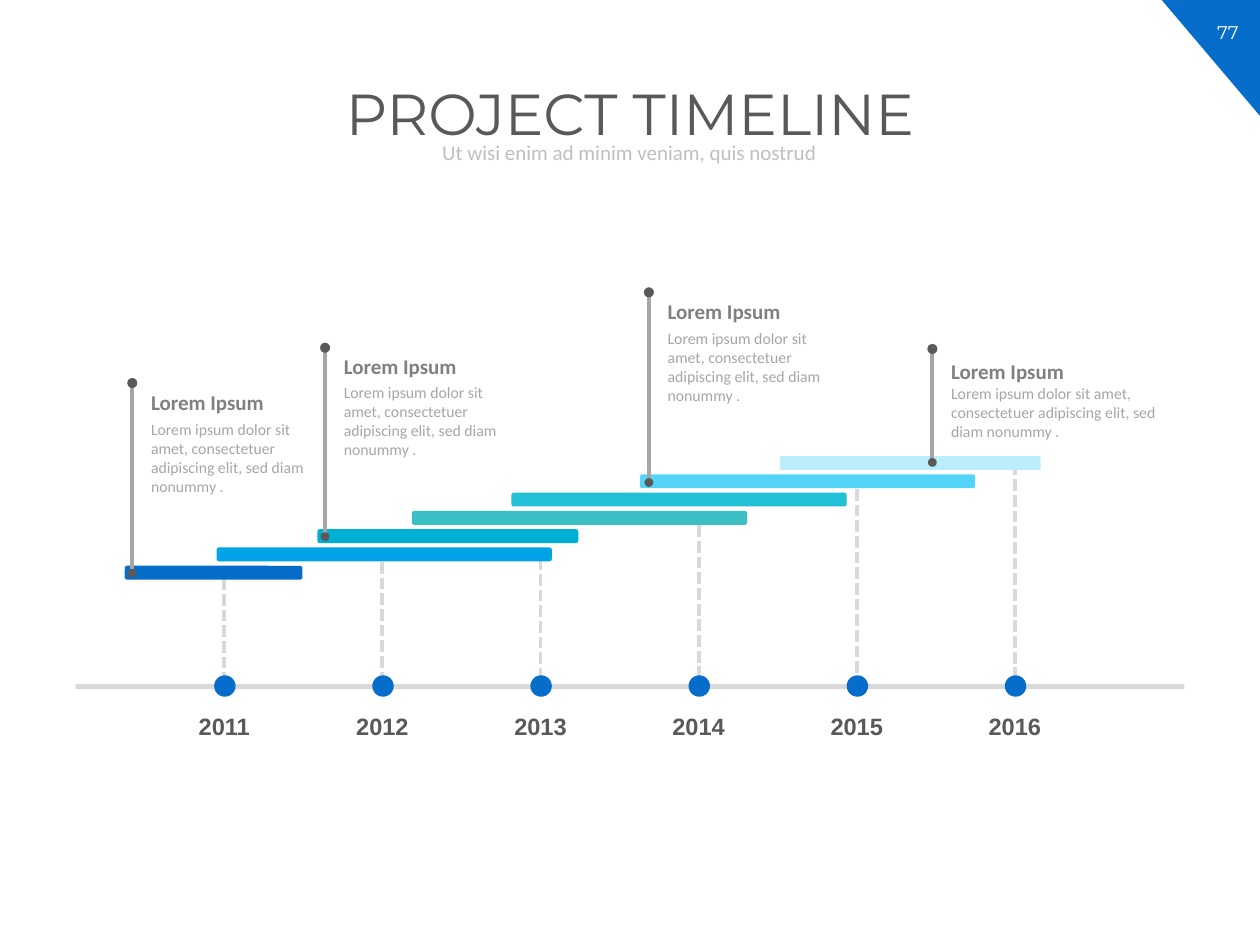
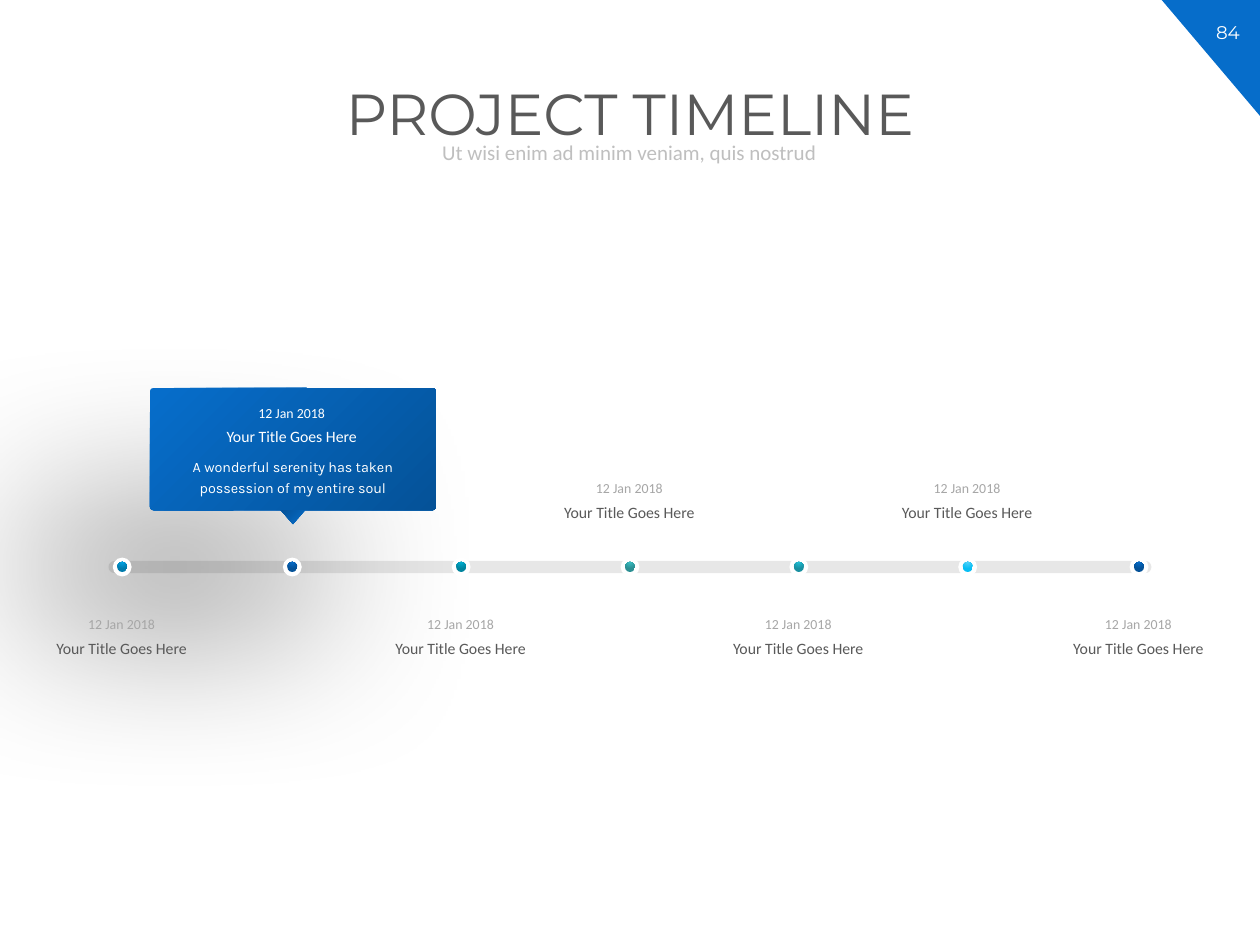
from pptx import Presentation
from pptx.dml.color import RGBColor
from pptx.enum.dml import MSO_LINE
from pptx.enum.shapes import MSO_CONNECTOR, MSO_SHAPE as Shape
from pptx.enum.text import MSO_ANCHOR, MSO_AUTO_SIZE, PP_ALIGN
from pptx.oxml import parse_xml
from pptx.oxml.ns import nsdecls, qn
from pptx.util import Inches, Pt

# Colours
WHITE = RGBColor(0xFF, 0xFF, 0xFF)
BLACK = RGBColor(0x00, 0x00, 0x00)
DARK = RGBColor(0x59, 0x59, 0x59)
GREY = RGBColor(0x80, 0x80, 0x80)
MID_GREY = RGBColor(0xA6, 0xA6, 0xA6)
SOFT_GREY = RGBColor(0xBF, 0xBF, 0xBF)
PALE_GREY = RGBColor(0xD9, 0xD9, 0xD9)
BLUE = RGBColor(0x06, 0x6D, 0xCA)
DEEP_BLUE = RGBColor(0x05, 0x52, 0x98)
SKY = RGBColor(0x00, 0xA4, 0xE6)
DEEP_SKY = RGBColor(0x00, 0x7B, 0xAC)
CYAN = RGBColor(0x00, 0xB0, 0xD3)
DEEP_CYAN = RGBColor(0x00, 0x84, 0x9E)
TEAL = RGBColor(0x3A, 0xBF, 0xC4)
DEEP_TEAL = RGBColor(0x2C, 0x8F, 0x93)
AQUA = RGBColor(0x21, 0xC0, 0xD7)
DEEP_AQUA = RGBColor(0x19, 0x90, 0xA1)
LIGHT_BLUE = RGBColor(0x55, 0xD4, 0xFA)
BRIGHT_BLUE = RGBColor(0x07, 0xBE, 0xF4)
ICE = RGBColor(0xBB, 0xEE, 0xFD)

# Text styles: font values, then paragraph values
CENTRED = {"alignment": PP_ALIGN.CENTER}
LEFT = {"alignment": PP_ALIGN.LEFT}
STYLES = {
    "title": ({"name": "Montserrat", "size": Pt(33)}, {**CENTRED, "line_spacing": 0.9}),
    "subtitle": ({"name": "Calibri", "size": Pt(12)},
                 {**CENTRED, "line_spacing": 0.9, "space_before": Pt(9)}),
    "number": ({"name": "Montserrat", "size": Pt(10.5)}, CENTRED),
    "year": ({"name": "Arial", "size": Pt(13.5), "bold": True}, CENTRED),
    "heading": ({"name": "Calibri", "size": Pt(12), "bold": True}, LEFT),
    "detail": ({"name": "Calibri", "size": Pt(9)}, LEFT),
    "event": ({"name": "Calibri", "size": Pt(9)}, CENTRED),
    "date": ({"name": "Calibri", "size": Pt(7.9)}, CENTRED),
    "quote": ({"name": "Karla", "size": Pt(8.2)}, {**CENTRED, "line_spacing": 1.2}),
}


def write(slide, box, text, style, colour, holder=None, anchor=MSO_ANCHOR.TOP):
    """Fill a placeholder, or a new text box, with one styled paragraph."""
    left, top, width, height = map(Inches, box)
    holder = holder or slide.shapes.add_textbox(left, top, width, height)
    frame = holder.text_frame
    frame.text = text
    paragraph = frame.paragraphs[0]
    font_values, paragraph_values = STYLES[style]
    place = {"left": left, "top": top, "width": width, "height": height}
    layout = {"word_wrap": True, "auto_size": MSO_AUTO_SIZE.NONE, "vertical_anchor": anchor}
    for target, values in ((holder, place), (frame, layout), (paragraph, paragraph_values),
                           (paragraph.runs[0].font, font_values)):
        for name, value in values.items():
            setattr(target, name, value)
    paragraph.runs[0].font.color.rgb = colour


def draw(slide, kind, box, colour, weight=None):
    """Draw a flat shape, or a line between two points when a weight is given."""
    box = map(Inches, box)
    if weight:
        item = slide.shapes.add_connector(MSO_CONNECTOR.STRAIGHT, *box)
        item.line.color.rgb = colour
        item.line.width = Pt(weight)
        item._element.spPr.append(parse_xml(f"<a:effectLst {nsdecls('a')}/>"))
    else:
        item = slide.shapes.add_shape(kind, *box)
        item.shadow.inherit = False
        item.fill.solid()
        item.fill.fore_color.rgb = colour
        item.line.fill.background()
    return item


prs = Presentation()
prs.slide_width, prs.slide_height = Inches(10), Inches(7.5)

# Shared frame: title, subtitle, corner and page number
slides = []
for page in ("77", "84"):
    slide = prs.slides.add_slide(prs.slide_layouts[0])
    title, subtitle = slide.placeholders
    write(slide, (0.57, 0.63, 8.86, 0.73), "PROJECT TIMELINE", "title", DARK, title)
    write(slide, (1.39, 1.09, 7.21, 0.26), "Ut wisi enim ad minim veniam, quis nostrud",
          "subtitle", SOFT_GREY, subtitle, MSO_ANCHOR.MIDDLE)
    corner = draw(slide, Shape.RIGHT_TRIANGLE, (9.22, 0, 0.78, 0.92), BLUE)
    corner.rotation = 180
    write(slide, (9.49, 0.12, 0.51, 0.28), page, "number", WHITE)
    slides.append(slide)
bars_slide, events_slide = slides

# Slide 1: year axis with dashed guides
guide_tops = (4.59, 4.46, 4.43, 4.17, 3.88, 3.68)
year_centres = [1.78 + 1.255 * i for i in range(len(guide_tops))]
for x, top in zip(year_centres, guide_tops):
    guide = draw(bars_slide, None, (x, top, x, 5.38), PALE_GREY, 2.25)
    guide.line.dash_style = MSO_LINE.SQUARE_DOT
draw(bars_slide, Shape.RECTANGLE, (0.6, 5.43, 8.8, 0.04), PALE_GREY)
for year, x in enumerate(year_centres, 2011):
    draw(bars_slide, Shape.OVAL, (x - 0.08, 5.36, 0.17, 0.17), BLUE)
    write(bars_slide, (x - 0.48, 5.6, 0.96, 0.33), str(year), "year", DARK)

# Slide 1: project bars, rising step by step
bars = ((0.99, 1.41, BLUE), (1.72, 2.66, SKY), (2.52, 2.07, CYAN), (3.27, 2.66, TEAL),
        (4.06, 2.66, AQUA), (5.08, 2.66, LIGHT_BLUE), (6.19, 2.07, ICE))
for step, (start, length, colour) in enumerate(bars):
    draw(bars_slide, Shape.ROUNDED_RECTANGLE,
         (start, 4.49 - 0.145 * step, length, 0.11), colour)

# Slide 1: pins with notes (x, pin top, pin foot, heading top, detail top, detail width)
pins = ((1.05, 3.04, 4.55, 3.04, 3.28, 1.52), (2.58, 2.76, 4.26, 2.76, 2.99, 1.52),
        (5.15, 2.32, 3.83, 2.32, 2.56, 1.52), (7.4, 2.77, 3.67, 2.8, 3, 1.95))
for x, top, foot, heading_top, detail_top, width in pins:
    draw(bars_slide, None, (x, foot, x, top), MID_GREY, 2.25)
    for y, size in ((top, 0.08), (foot, 0.07)):
        draw(bars_slide, Shape.OVAL, (x - size / 2, y - size / 2, size, size), DARK)
    write(bars_slide, (x + 0.05, heading_top, 1.28, 0.3), "Lorem Ipsum", "heading", GREY)
    write(bars_slide, (x + 0.05, detail_top, width, 0.71),
          "Lorem ipsum dolor sit amet, consectetuer adipiscing elit, sed diam nonummy .",
          "detail", MID_GREY)

# Slide 2: translucent track with round ends
track = draw(events_slide, None, (0.91, 4.5, 9.09, 4.5), MID_GREY, 7)
track_line = track.line._get_or_add_ln()
track_line.set("cap", "rnd")
track_line.find(".//" + qn("a:srgbClr")).append(
    parse_xml(f'<a:alpha {nsdecls("a")} val="25000"/>'))

# Slide 2: callout over the second event
callout = draw(events_slide, Shape.ROUNDED_RECTANGLE, (1.19, 3.08, 2.27, 0.97), BLUE)
callout.adjustments[0] = 0.03
pointer = draw(events_slide, Shape.ISOSCELES_TRIANGLE, (2.23, 4.05, 0.19, 0.11), BLUE)
pointer.rotation = 180
gradients = [(callout, BLUE, DEEP_BLUE, False), (pointer, BLUE, DEEP_BLUE, False)]
shadows = [(callout, BLACK, 96, 135)]

# Slide 2: events (centre, date top, gradient, glow)
events = ((0.97, 4.84, SKY, DEEP_SKY, BLUE), (2.32, 3.16, BLUE, DEEP_BLUE, SKY),
          (3.66, 4.84, CYAN, DEEP_CYAN, CYAN), (5, 3.76, TEAL, DEEP_TEAL, TEAL),
          (6.34, 4.84, AQUA, DEEP_AQUA, AQUA),
          (7.68, 3.76, LIGHT_BLUE, BRIGHT_BLUE, LIGHT_BLUE),
          (9.04, 4.84, BLUE, DEEP_BLUE, BLUE))
for x, date_top, light, deep, glow in events:
    ring, dot = [draw(events_slide, Shape.OVAL, (x - size / 2, 4.5 - size / 2, size, size), WHITE)
                 for size in (0.15, 0.08)]
    gradients.append((dot, light, deep, True))
    shadows += [(ring, WHITE, 0, 0), (dot, glow, 0, 0)]
    in_callout = date_top == 3.16
    write(events_slide, (x - 0.77, date_top, 1.53, 0.23), "12 Jan 2018", "date",
          WHITE if in_callout else MID_GREY)
    write(events_slide, (x - 0.77, date_top + 0.18, 1.53, 0.25), "Your Title Goes Here",
          "event", WHITE if in_callout else DARK)
write(events_slide, (1.19, 3.56, 2.27, 0.43),
      "A wonderful serenity has taken possession of my entire soul", "quote", WHITE)

# Slide 2: gradients, diagonal or circular
for item, light, deep, circular in gradients:
    item.fill.gradient()
    item.fill.gradient_angle = 315
    for stop, position, colour in zip(item.fill.gradient_stops, (0.02, 1), (light, deep)):
        stop.position = position
        stop.color.rgb = colour
    if circular:
        linear = item._element.spPr.find(".//" + qn("a:lin"))
        linear.getparent().replace(linear, parse_xml(
            f'<a:path {nsdecls("a")} path="circle">'
            '<a:fillToRect l="50000" t="-80000" r="50000" b="180000"/></a:path>'))

# Slide 2: soft shadows
for item, colour, distance, angle in shadows:
    item._element.spPr.find(qn("a:effectLst")).append(parse_xml(
        f'<a:outerShdw {nsdecls("a")} blurRad="{Pt(100)}" dist="{Pt(distance)}" '
        f'dir="{angle * 60000}" algn="ctr" rotWithShape="0">'
        f'<a:srgbClr val="{colour}"><a:alpha val="40000"/></a:srgbClr></a:outerShdw>'))

prs.save("out.pptx")
